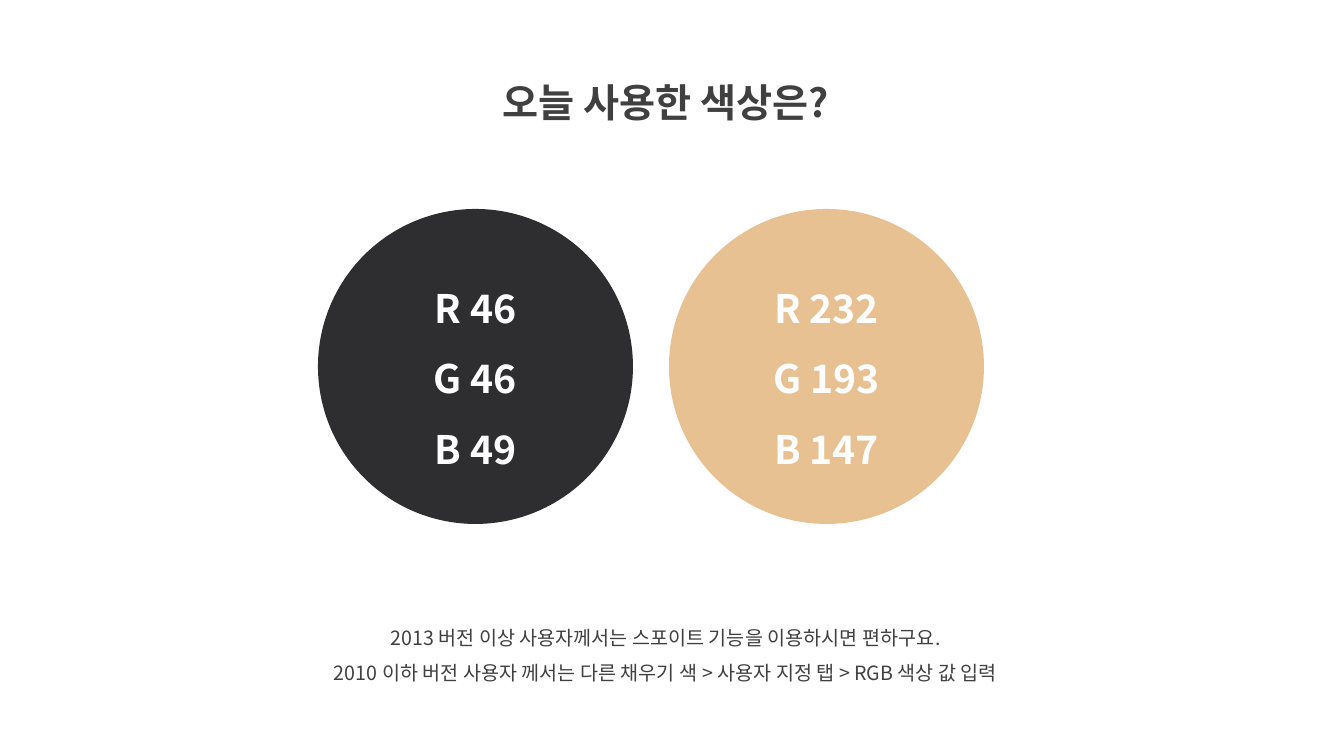
"""Build a slide that lists the RGB values of the two colours in use."""
import lxml.etree
import pptx
import pptx.dml.color
import pptx.enum.shapes
import pptx.enum.text
import pptx.oxml.ns
import pptx.util
from dataclasses import dataclass


@dataclass(frozen=True)
class Theme:
    """Colours, font and type sizes."""
    font: str = "Noto Sans CJK KR"
    ink: str = "404040"
    white: str = "FFFFFF"
    charcoal: str = "2E2E31"
    sand: str = "E8C193"
    large: int = 28
    small: int = 14
    line_spacing: float = 1.5


theme = Theme()
EMU_PER_PX = 914400 / 100.8


def px(length):
    """Turn pixels into EMU."""
    return pptx.util.Emu(round(length * EMU_PER_PX))


def write_lines(text_frame, lines, size, color, bold):
    """Write centred lines, one paragraph each."""
    text_frame.word_wrap = True
    for index, line in enumerate(lines):
        paragraph = text_frame.add_paragraph() if index else text_frame.paragraphs[0]
        paragraph.alignment = pptx.enum.text.PP_ALIGN.CENTER
        paragraph.line_spacing = theme.line_spacing
        run = paragraph.add_run()
        run.text = line
        run.font.size = pptx.util.Pt(size)
        run.font.bold = bold
        run.font.name = theme.font
        run.font.color.rgb = pptx.dml.color.RGBColor.from_string(color)
        east_asian = lxml.etree.SubElement(run.font._element, pptx.oxml.ns.qn("a:ea"))
        east_asian.set("typeface", theme.font)


presentation = pptx.Presentation()
presentation.slide_width = px(1344)
presentation.slide_height = px(756)
slide = presentation.slides.add_slide(presentation.slide_layouts[6])

TITLE = ["오늘 사용한 색상은?"]
GUIDE = [
    "2013 버전 이상 사용자께서는 스포이트 기능을 이용하시면 편하구요.",
    "2010 이하 버전 사용자 께서는 다른 채우기 색 > 사용자 지정 탭 > RGB 색상 값 입력",
]
text_boxes = [
    ((432, 50, 467, 73), TITLE, theme.large, True),
    ((263, 609, 805, 82), GUIDE, theme.small, False),
]
for box, lines, size, bold in text_boxes:
    text_box = slide.shapes.add_textbox(*map(px, box))
    write_lines(text_box.text_frame, lines, size, theme.ink, bold)
    text_box.text_frame.auto_size = pptx.enum.text.MSO_AUTO_SIZE.SHAPE_TO_FIT_TEXT

CIRCLE_LEFT, CIRCLE_TOP, DIAMETER, CIRCLE_GAP = 318, 209, 315, 36
for index, swatch in enumerate([theme.charcoal, theme.sand]):
    left = CIRCLE_LEFT + index * (DIAMETER + CIRCLE_GAP)
    circle = slide.shapes.add_shape(
        pptx.enum.shapes.MSO_SHAPE.OVAL,
        px(left), px(CIRCLE_TOP), px(DIAMETER), px(DIAMETER))
    circle.shadow.inherit = False
    circle.fill.solid()
    color = pptx.dml.color.RGBColor.from_string(swatch)
    circle.fill.fore_color.rgb = color
    circle.line.fill.background()
    circle.text_frame.vertical_anchor = pptx.enum.text.MSO_ANCHOR.MIDDLE
    channels = [f"{name} {value}" for name, value in zip("RGB", color)]
    write_lines(circle.text_frame, channels, theme.large, theme.white, True)

presentation.save("out.pptx")
